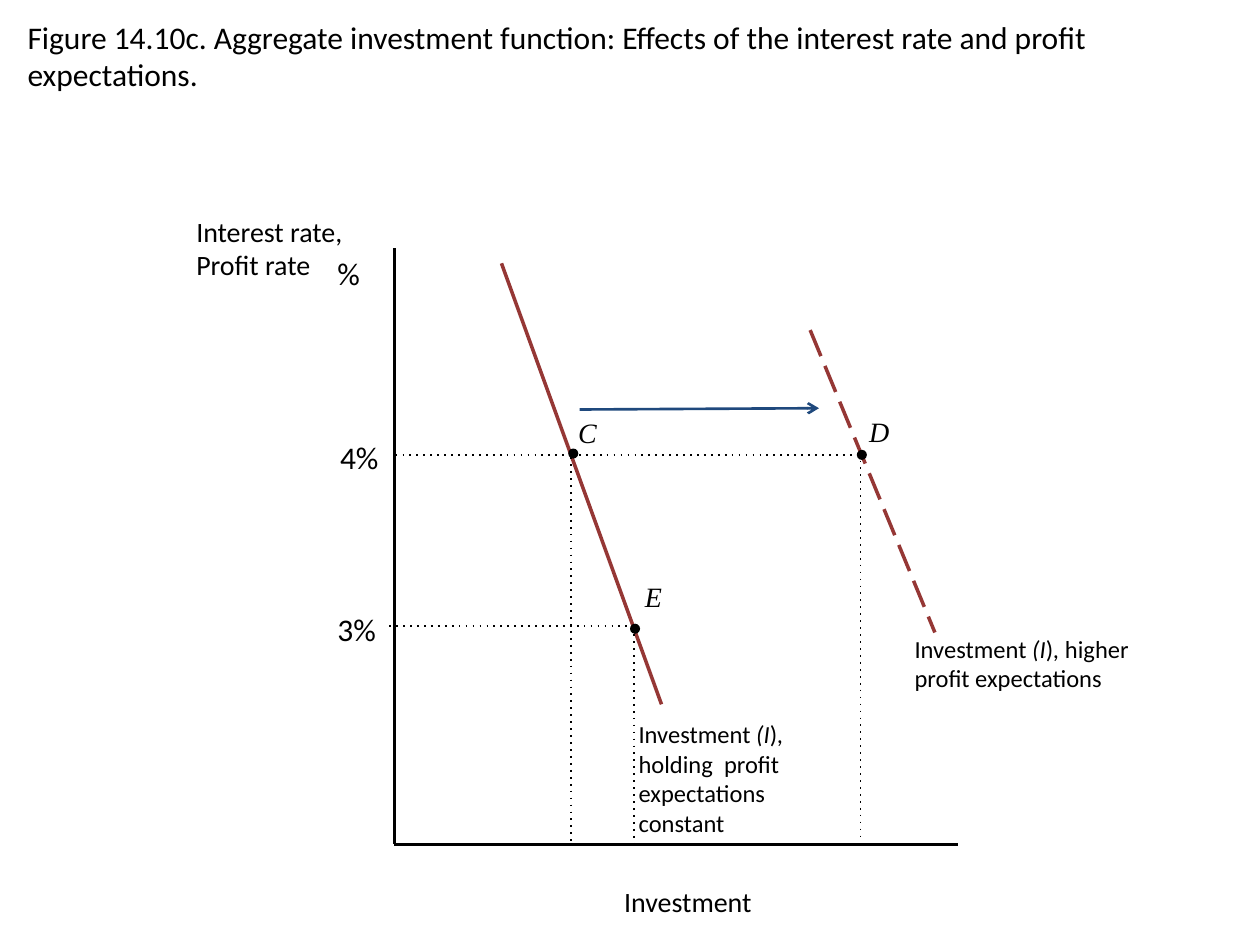
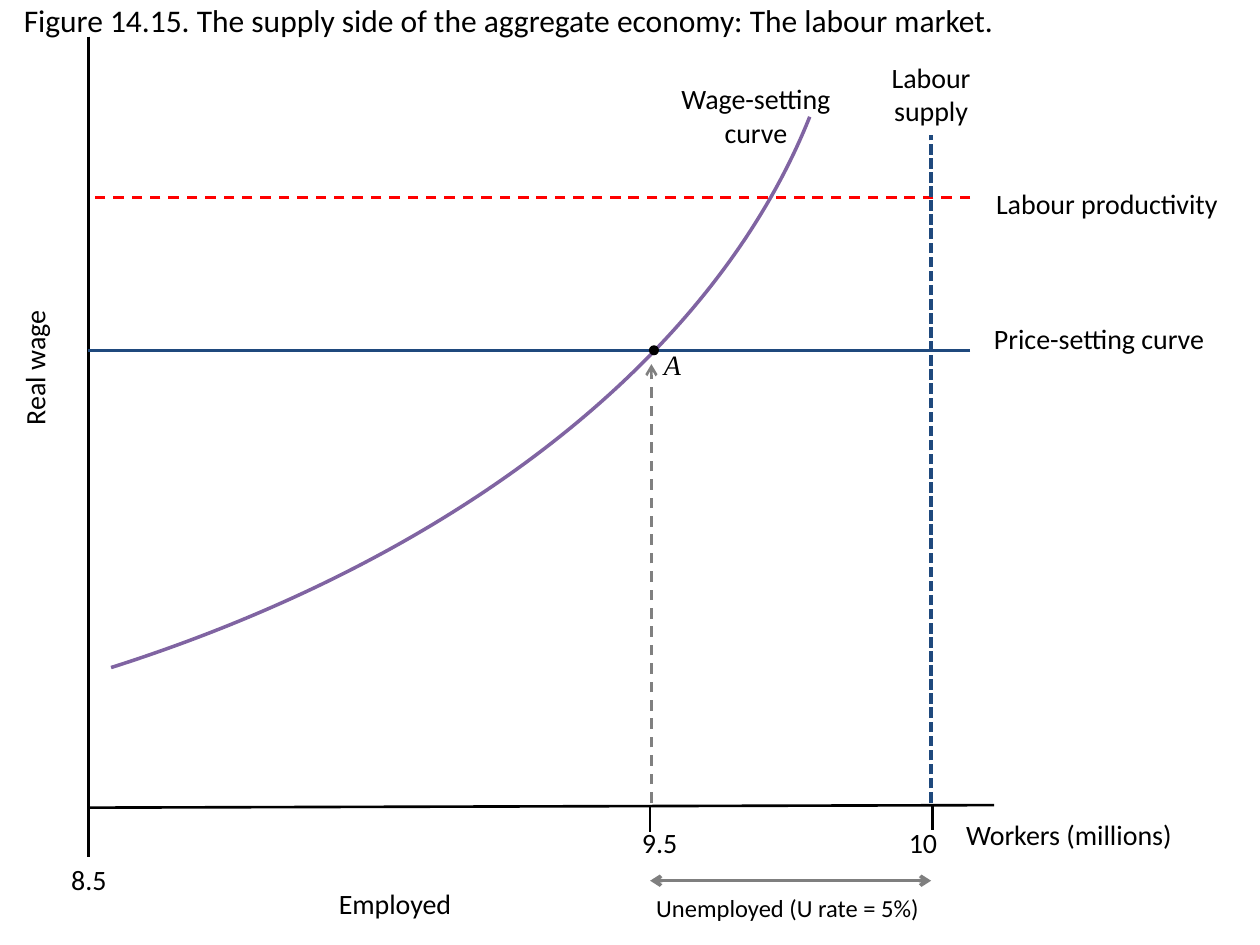
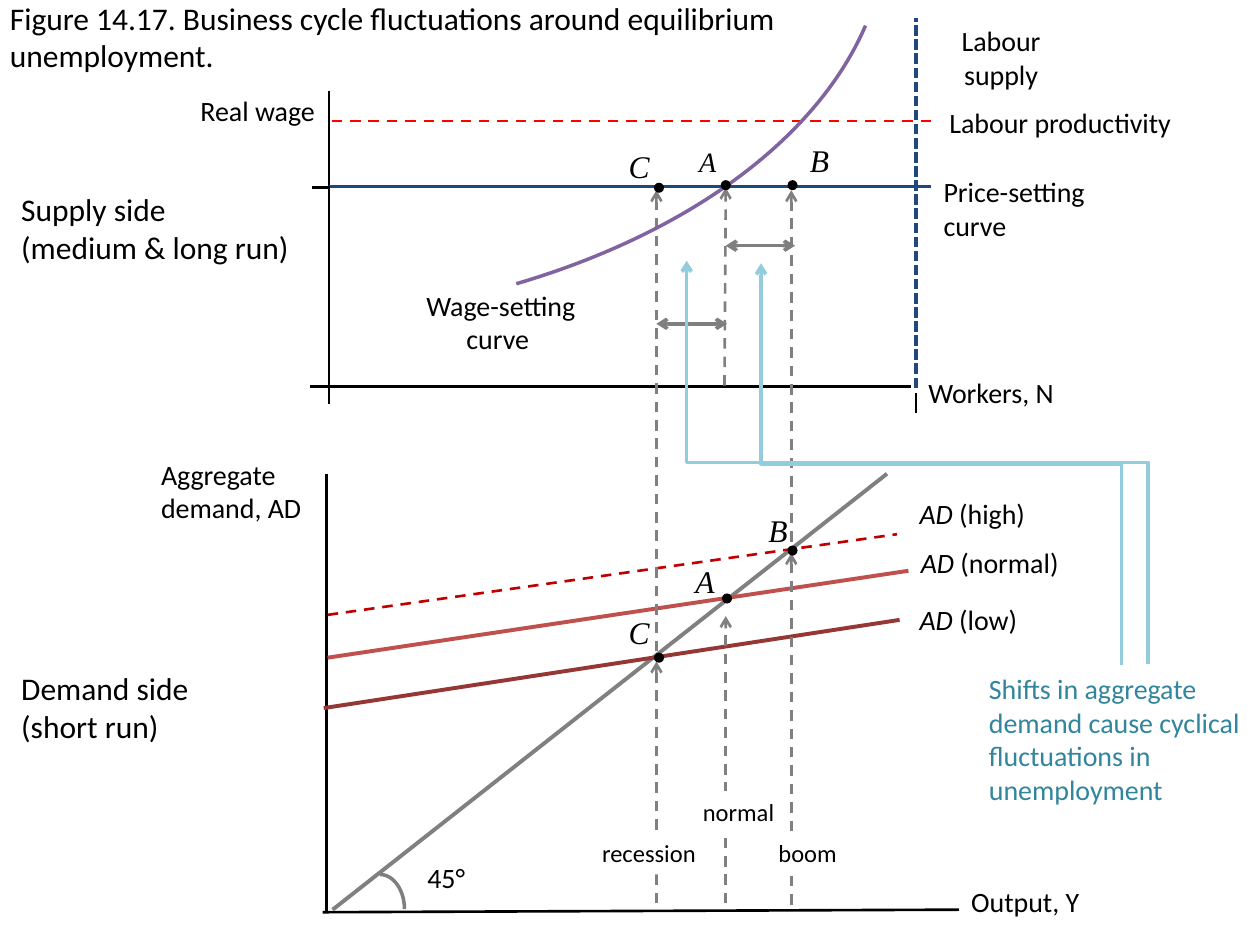
import dataclasses
import typing

import lxml.etree
import pptx
import pptx.dml.color
import pptx.enum.shapes
import pptx.enum.text
import pptx.oxml.ns
import pptx.util

SLIDE_WIDTH = pptx.util.Inches(10)
SLIDE_HEIGHT = pptx.util.Inches(7.5)
COLUMN = SLIDE_WIDTH / 10
ROW = SLIDE_HEIGHT / 7.5
DOT_SIZE = 0.08
WAGE_ARC_ANGLES = (5.424, 30.832)

COLORS = {
    "ink": "000000",
    "paper": "FFFFFF",
    "maroon": "953735",
    "rose": "C0504D",
    "crimson": "C00000",
    "red": "FF0000",
    "navy": "1F497D",
    "purple": "8064A2",
    "gray": "808080",
    "span": "7F7F7F",
    "sky": "93CDDD",
    "teal": "31859C",
}
ALIGNMENTS = {
    "left": pptx.enum.text.PP_ALIGN.LEFT,
    "center": pptx.enum.text.PP_ALIGN.CENTER,
    "right": pptx.enum.text.PP_ALIGN.RIGHT,
}

Box = tuple[float, float, float, float]
Place = tuple[float, float]


@dataclasses.dataclass(frozen=True)
class Stroke:
    color: str = "ink"
    width: float = 1.5
    dash: str = ""
    head: bool = False
    tail: bool = False


@dataclasses.dataclass(frozen=True)
class Segment:
    start: Place
    end: Place
    stroke: Stroke


@dataclasses.dataclass(frozen=True)
class Marker:
    letter: str
    center: Place
    label: Box
    size: int = 18


AXIS = Stroke()
GUIDE = Stroke(width=1, dash="dot")
INVESTMENT = Stroke("maroon", 2)
HIGHER_INVESTMENT = Stroke("maroon", 2, "lgDash")
SHIFT = Stroke("navy", tail=True)
PRICE_SETTING = Stroke("navy")
PRODUCTIVITY = Stroke("red", dash="dash")
LABOUR_SUPPLY = Stroke("navy", 2, "sysDash")
WAGE_SETTING = Stroke("purple", 2)
PROJECTION = Stroke("gray", dash="dash", tail=True)
SPAN = Stroke("span", 2, head=True, tail=True)
ANGLE = Stroke("span", 2)
CYCLE = Stroke("sky", 2, tail=True)


def columns(count: float) -> int:
    return round(count * COLUMN)


def rows(count: float) -> int:
    return round(count * ROW)


def frame(box: Box) -> tuple[int, int, int, int]:
    left, top, width, height = box
    return columns(left), rows(top), columns(width), rows(height)


def rgb(name: str) -> pptx.dml.color.RGBColor:
    return pptx.dml.color.RGBColor.from_string(COLORS[name])


def add_text(slide: typing.Any, text: str, *, at: Box, size: int = 16,
             font: str = "Calibri", color: str = "ink", align: str = "left",
             wrap: bool = True, fill: str = "", rotation: float = 0) -> None:
    """Lines become paragraphs; asterisks enclose italic passages."""
    shape = slide.shapes.add_textbox(*frame(at))
    shape.rotation = rotation
    if fill:
        shape.fill.solid()
        shape.fill.fore_color.rgb = rgb(fill)
    text_frame = shape.text_frame
    text_frame.word_wrap = wrap
    text_frame.auto_size = pptx.enum.text.MSO_AUTO_SIZE.SHAPE_TO_FIT_TEXT
    for index, line in enumerate(text.split("\n")):
        paragraph = text_frame.add_paragraph() if index else text_frame.paragraphs[0]
        paragraph.alignment = ALIGNMENTS[align]
        for position, passage in enumerate(line.split("*")):
            if passage:
                run = paragraph.add_run()
                run.text = passage
                run.font.name = font
                run.font.size = pptx.util.Pt(size)
                run.font.italic = position % 2 == 1
                run.font.color.rgb = rgb(color)


def apply_stroke(shape: typing.Any, stroke: Stroke) -> None:
    shape.line.color.rgb = rgb(stroke.color)
    shape.line.width = pptx.util.Pt(stroke.width)
    outline = shape._element.spPr.get_or_add_ln()
    qualify = pptx.oxml.ns.qn
    if stroke.dash:
        lxml.etree.SubElement(outline, qualify("a:prstDash"), val=stroke.dash)
    for tag, wanted in (("a:headEnd", stroke.head), ("a:tailEnd", stroke.tail)):
        if wanted:
            lxml.etree.SubElement(outline, qualify(tag), type="arrow")


def add_connector(slide: typing.Any, kind: typing.Any, segment: Segment) -> typing.Any:
    (start_x, start_y), (end_x, end_y) = segment.start, segment.end
    connector = slide.shapes.add_connector(
        kind, columns(start_x), rows(start_y), columns(end_x), rows(end_y))
    apply_stroke(connector, segment.stroke)
    lxml.etree.SubElement(connector._element.spPr, pptx.oxml.ns.qn("a:effectLst"))
    return connector


def add_segments(slide: typing.Any, *segments: Segment) -> None:
    for segment in segments:
        add_connector(slide, pptx.enum.shapes.MSO_CONNECTOR.STRAIGHT, segment)


def add_rising_elbow(slide: typing.Any, start: Place, end: Place) -> None:
    center_x, center_y = (start[0] + end[0]) / 2, (start[1] + end[1]) / 2
    half_run, half_rise = (start[1] - end[1]) / 2, (start[0] - end[0]) / 2
    unrotated = Segment((center_x - half_run, center_y + half_rise),
                        (center_x + half_run, center_y - half_rise), CYCLE)
    connector = add_connector(slide, pptx.enum.shapes.MSO_CONNECTOR.ELBOW, unrotated)
    connector._element.spPr.get_or_add_xfrm().set("rot", str(270 * 60000))


def add_arc(slide: typing.Any, box: Box, stroke: Stroke,
            angles: tuple[float, ...] = ()) -> None:
    arc = slide.shapes.add_shape(pptx.enum.shapes.MSO_SHAPE.ARC, *frame(box))
    arc.shadow.inherit = False
    arc.fill.background()
    for index, angle in enumerate(angles):
        arc.adjustments[index] = angle
    apply_stroke(arc, stroke)


def add_markers(slide: typing.Any, *markers: Marker) -> None:
    for marker in markers:
        x, y = marker.center
        box = (x - DOT_SIZE / 2, y - DOT_SIZE / 2, DOT_SIZE, DOT_SIZE)
        dot = slide.shapes.add_shape(pptx.enum.shapes.MSO_SHAPE.OVAL, *frame(box))
        dot.shadow.inherit = False
        dot.fill.solid()
        dot.fill.fore_color.rgb = rgb("ink")
        dot.line.fill.background()
        add_text(slide, f"*{marker.letter}*", at=marker.label, size=marker.size,
                 font="Times New Roman")


def add_figure(presentation: typing.Any, title: str, at: Box) -> typing.Any:
    slide = presentation.slides.add_slide(presentation.slide_layouts[6])
    add_text(slide, title, at=at, size=18)
    return slide


def build_investment_function(presentation: typing.Any) -> None:
    slide = add_figure(
        presentation,
        "Figure 14.10c. Aggregate investment function: Effects of the interest rate "
        "and profit expectations.", (0.12, 0.09, 9.55, 0.71))
    add_segments(
        slide,
        Segment((3.98, 2.09), (5.25, 5.59), INVESTMENT),
        Segment((3.13, 1.97), (3.13, 6.7), AXIS),
        Segment((7.6, 6.7), (3.13, 6.7), AXIS),
        Segment((5.03, 4.98), (5.03, 6.69), GUIDE),
        Segment((3.09, 4.97), (5.07, 4.97), GUIDE),
        Segment((4.53, 3.63), (4.53, 6.7), GUIDE),
        Segment((3.14, 3.61), (4.52, 3.61), GUIDE),
        Segment((6.43, 2.62), (7.42, 5.02), HIGHER_INVESTMENT),
        Segment((6.83, 3.6), (6.83, 6.68), GUIDE),
        Segment((4.54, 3.61), (6.77, 3.61), GUIDE),
        Segment((4.6, 3.25), (6.5, 3.24), SHIFT),
    )
    add_markers(
        slide,
        Marker("C", (4.55, 3.6), (4.49, 3.25, 0.48, 0.37), 16),
        Marker("D", (6.84, 3.61), (6.8, 3.24, 0.62, 0.37), 16),
        Marker("E", (5.04, 4.99), (5.02, 4.55, 0.46, 0.37), 16),
    )
    for rate, box in (("4%", (2.6, 3.43, 0.51, 0.4)),
                      ("3%", (2.58, 4.79, 0.51, 0.4)),
                      ("%", (2.58, 1.97, 0.38, 0.4))):
        add_text(slide, rate, at=box, size=18, wrap=False)
    add_text(slide, "Investment ", at=(3.87, 6.97, 3.23, 0.37), align="center")
    add_text(slide, "Investment *(I*)*,* holding  profit expectations constant",
             at=(4.97, 5.66, 1.9, 1.04), size=14)
    add_text(slide, "Investment *(I*)*, *higher profit expectations",
             at=(7.16, 4.98, 1.91, 0.57), size=14)
    add_text(slide, "Interest rate,\nProfit rate", at=(1.46, 1.65, 1.43, 0.64), wrap=False)


def build_labour_market(presentation: typing.Any) -> None:
    slide = add_figure(
        presentation,
        "Figure 14.15. The supply side of the aggregate economy: The labour market.",
        (0.09, -0.04, 9.91, 0.4))
    add_arc(slide, (-14.6, -7.46, 21.35, 13.48), WAGE_SETTING, WAGE_ARC_ANGLES)
    add_segments(
        slide,
        Segment((7.89, 6.39), (0.7, 6.41), AXIS),
        Segment((0.7, 0.29), (0.7, 6.8), AXIS),
        Segment((7.7, 2.78), (0.7, 2.78), PRICE_SETTING),
        Segment((7.7, 1.57), (0.7, 1.57), PRODUCTIVITY),
        Segment((5.17, 6.37), (5.17, 2.89), PROJECTION),
        Segment((7.39, 6.37), (7.39, 1.07), LABOUR_SUPPLY),
        Segment((5.16, 6.99), (7.39, 6.99), SPAN),
        Segment((5.16, 6.4), (5.16, 6.6), AXIS),
        Segment((7.4, 6.39), (7.4, 6.59), AXIS),
    )
    add_markers(slide, Marker("A", (5.19, 2.78), (5.17, 2.71, 0.86, 0.37), 16))
    for text, box in (("Wage-setting \ncurve ", (5.31, 0.6, 1.43, 0.64)),
                      ("Labour productivity", (6.42, 1.43, 4.73, 0.67)),
                      ("Employed", (0.99, 6.99, 4.29, 0.37)),
                      ("8.5", (0.2, 6.8, 1.01, 0.37)),
                      ("9.5", (4.73, 6.5, 1.01, 0.37)),
                      ("10", (6.82, 6.5, 1.01, 0.37))):
        add_text(slide, text, at=box, align="center")
    add_text(slide, "Real wage ", at=(-1.69, 2.71, 3.93, 0.37), align="center", rotation=270)
    add_text(slide, "Labour\nsupply", at=(6.97, 0.43, 0.84, 0.64), align="center", wrap=False)
    add_text(slide, "Price-setting curve", at=(7.79, 2.5, 3.91, 0.37))
    add_text(slide, "Unemployed (U rate = 5%)", at=(5.11, 7.04, 3.01, 0.34), size=14)
    add_text(slide, "Workers (millions)", at=(7.57, 6.44, 1.87, 0.37), wrap=False)


def add_supply_side(slide: typing.Any) -> None:
    add_segments(
        slide,
        Segment((7.23, 3.07), (2.6, 3.07), AXIS),
        Segment((2.61, 3.06), (2.61, 3.21), AXIS),
        Segment((2.46, 3.07), (2.6, 3.07), AXIS),
        Segment((7.27, 3.08), (7.27, 0.14), LABOUR_SUPPLY),
        Segment((2.61, 0.72), (2.61, 3.08), AXIS),
        Segment((7.39, 1.48), (2.61, 1.48), PRICE_SETTING),
        Segment((2.48, 1.49), (2.62, 1.49), AXIS),
        Segment((7.27, 3.12), (7.27, 3.28), AXIS),
        Segment((7.39, 0.96), (2.6, 0.96), PRODUCTIVITY),
        Segment((5.75, 3.06), (5.76, 1.49), PROJECTION),
        Segment((5.21, 5.17), (5.21, 1.51), PROJECTION),
        Segment((6.28, 4.3), (6.28, 1.51), PROJECTION),
    )
    for text, box in (("Real wage ", (0.51, 0.69, 3.12, 0.37)),
                      ("Labour\nsupply", (7.39, 0.14, 1.11, 0.64)),
                      ("Wage-setting \ncurve ", (3.27, 2.24, 1.41, 0.64)),
                      ("Labour productivity", (7.2, 0.79, 2.43, 0.37))):
        add_text(slide, text, at=box, align="center")
    add_text(slide, "Price-setting curve", at=(7.39, 1.34, 1.56, 0.64))
    add_text(slide, "Workers, N", at=(7.27, 2.93, 1.23, 0.37), wrap=False)
    add_text(slide, "Supply side\n(medium & long run)", at=(0.07, 1.46, 2.35, 0.71),
             size=18, wrap=False)
    add_arc(slide, (-3.4, -3.77, 10.44, 6.34), WAGE_SETTING, WAGE_ARC_ANGLES)
    add_markers(
        slide,
        Marker("A", (5.76, 1.47), (5.45, 1.1, 0.43, 0.37), 16),
        Marker("B", (6.29, 1.47), (6.33, 1.07, 0.29, 0.4)),
        Marker("C", (5.23, 1.49), (4.89, 1.12, 0.29, 0.4)),
    )
    add_segments(slide, Segment((5.21, 2.57), (5.77, 2.57), SPAN),
                 Segment((5.76, 1.95), (6.31, 1.95), SPAN))


def add_demand_side(slide: typing.Any) -> None:
    add_segments(
        slide,
        Segment((2.59, 3.76), (2.59, 7.24), AXIS),
        Segment((2.56, 7.24), (7.61, 7.22), AXIS),
        Segment((2.64, 7.22), (7.04, 3.76), Stroke("gray", 2.25)),
        Segment((2.57, 5.62), (7.14, 4.92), Stroke("maroon", 2.25)),
        Segment((2.6, 5.22), (7.21, 4.53), Stroke("rose", 2.25)),
        Segment((2.6, 4.88), (7.12, 4.24), Stroke("crimson", dash="dash")),
    )
    for level, left, top in (("high", 7.2, 3.89), ("normal", 7.21, 4.28), ("low", 7.2, 4.73)):
        add_text(slide, f"*AD* ({level})", at=(left, top, 1.56, 0.37))
    for phase, start, end, box, wrap in (
            ("normal", (5.76, 7.17), (5.76, 4.89), (5.48, 6.28, 1.04, 0.34), True),
            ("boom", (6.28, 7.18), (6.28, 4.39), (6.08, 6.6, 0.67, 0.34), False),
            ("recession", (5.21, 7.17), (5.21, 5.25), (4.68, 6.6, 0.95, 0.34), False)):
        add_segments(slide, Segment(start, end, PROJECTION))
        add_text(slide, phase, at=box, size=14, wrap=wrap, fill="paper")
    add_markers(
        slide,
        Marker("A", (5.77, 4.75), (5.42, 4.41, 0.29, 0.4)),
        Marker("B", (6.29, 4.37), (6, 4.01, 0.29, 0.4)),
        Marker("C", (5.23, 5.22), (4.89, 4.82, 0.29, 0.4)),
    )
    add_text(slide, "Aggregate demand, AD", at=(1.18, 3.58, 1.77, 0.64))
    add_text(slide, "Output, Y", at=(7.61, 6.97, 1.07, 0.37), wrap=False)
    add_text(slide, "Demand side\n(short run)", at=(0.07, 5.26, 1.55, 0.71),
             size=18, wrap=False)
    add_arc(slide, (2.82, 6.94, 0.39, 0.55), ANGLE)
    add_text(slide, "45°", at=(3.28, 6.78, 0.51, 0.37), align="right", wrap=False)


def build_business_cycle(presentation: typing.Any) -> None:
    slide = add_figure(
        presentation,
        "Figure 14.17. Business cycle fluctuations around equilibrium unemployment.",
        (-0.02, -0.06, 7.49, 0.71))
    add_demand_side(slide)
    add_supply_side(slide)
    add_text(slide, "Shifts in aggregate demand cause cyclical fluctuations in unemployment",
             at=(7.75, 5.28, 2.39, 1.18), color="teal")
    add_rising_elbow(slide, (8.9, 5.28), (6.04, 2.09))
    add_rising_elbow(slide, (9.11, 5.27), (5.45, 2.07))


def main() -> None:
    presentation = pptx.Presentation()
    presentation.slide_width = SLIDE_WIDTH
    presentation.slide_height = SLIDE_HEIGHT
    build_investment_function(presentation)
    build_labour_market(presentation)
    build_business_cycle(presentation)
    presentation.save("out.pptx")


if __name__ == "__main__":
    main()
